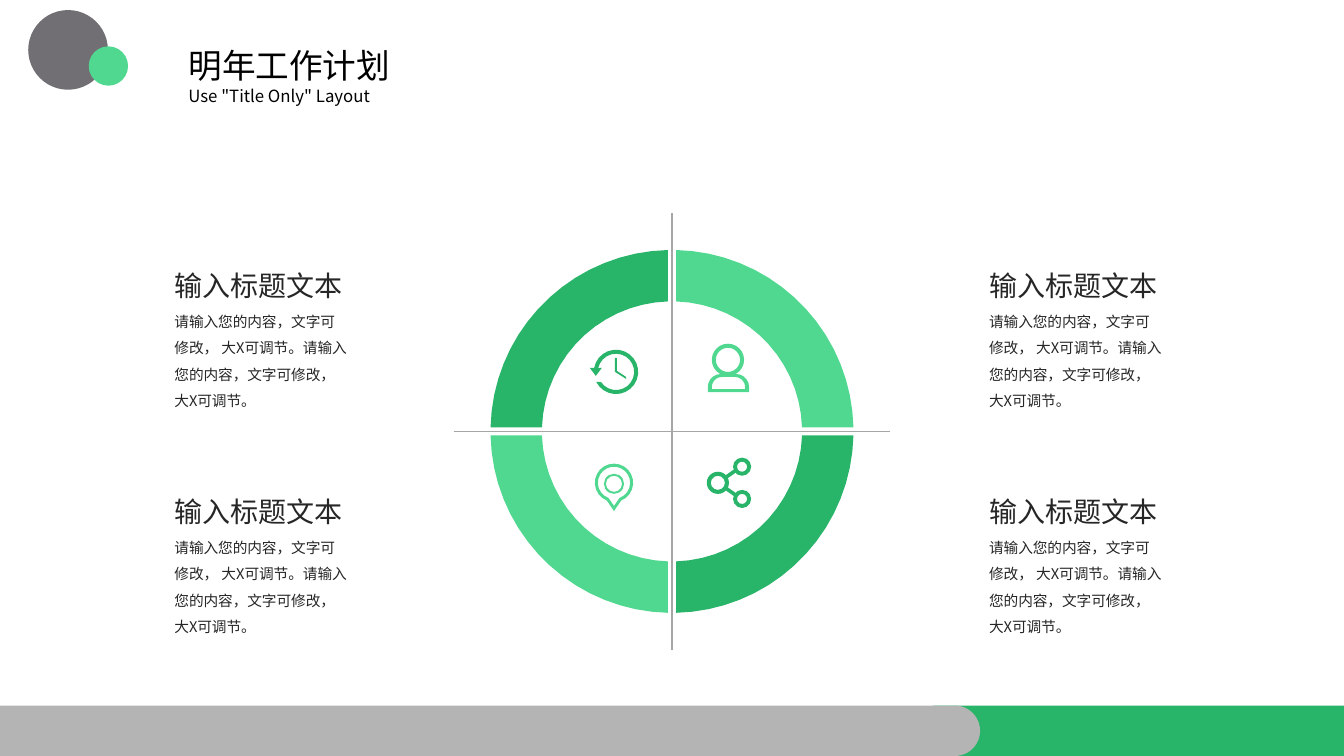
import math
import pptx
import pptx.util
import pptx.dml.color
import pptx.enum.shapes
import pptx.enum.text
import pptx.oxml.ns
import lxml.etree

Inches, Pt = pptx.util.Inches, pptx.util.Pt
Kind = pptx.enum.shapes.MSO_SHAPE
Anchor = pptx.enum.text.MSO_ANCHOR
qn = pptx.oxml.ns.qn

FACE = "Noto Sans CJK SC"
DARK, LIGHT, INK = "28B56A", "50D890", "262626"
WIDE, HIGH = 13.33, 7.5


def paint(fill, hue):
    fill.solid()
    fill.fore_color.rgb = pptx.dml.color.RGBColor.from_string(hue)


def write(box, text, size, hue, inset, anchor, lead=None):
    """Fill a box with one left-aligned run; lead is the line pitch in points."""
    frame = box.text_frame
    frame.word_wrap = True
    frame.auto_size = pptx.enum.text.MSO_AUTO_SIZE.NONE
    frame.vertical_anchor = anchor
    frame.margin_left = frame.margin_right = Inches(inset)
    frame.margin_top = frame.margin_bottom = Inches(inset / 2)
    para = frame.paragraphs[0]
    para.alignment = pptx.enum.text.PP_ALIGN.LEFT
    para.line_spacing = Pt(lead) if lead else 1.0
    run = para.add_run()
    run.text = text
    run.font.size = Pt(size)
    run.font.name = FACE
    paint(run.font.fill, hue)
    east = lxml.etree.SubElement(run.font._element, qn("a:ea"))
    east.set("typeface", FACE)


deck = pptx.Presentation()
deck.slide_width, deck.slide_height = Inches(WIDE), Inches(HIGH)
slide = deck.slides.add_slide(deck.slide_layouts[5])
shapes = slide.shapes

# Preset shapes: footer bars, corner dots, then the rings of the icons
bar, axis = HIGH / 15, 4.79
parts = [
    (Kind.ROUNDED_RECTANGLE, 9.04, HIGH - bar, 4.78, bar, DARK, 0.5),
    (Kind.ROUNDED_RECTANGLE, -0.46, HIGH - bar, 10.18, bar, "B4B4B4", 0.5),
    (Kind.FLOWCHART_CONNECTOR, 0.28, 0.1, 0.79, 0.79, "716F73", None),
    (Kind.FLOWCHART_CONNECTOR, 0.88, 0.46, 0.39, 0.39, LIGHT, None),
]
for x, y, r, thick, hue in [
    (7.22, 3.57, 0.16, 0.04, LIGHT),
    (6.09, 4.8, 0.1, 0.02, LIGHT),
    (7.12, axis, 0.11, 0.04, DARK),
    (7.36, axis - 0.16, 0.09, 0.04, DARK),
    (7.36, axis + 0.16, 0.09, 0.04, DARK),
]:
    parts.append((Kind.DONUT, x - r, y - r, 2 * r, 2 * r, hue, thick / (2 * r)))
for kind, left, top, width, height, hue, bend in parts:
    part = shapes.add_shape(kind, *map(Inches, (left, top, width, height)))
    part.shadow.inherit = False
    part.line.fill.background()
    paint(part.fill, hue)
    if bend:
        part.adjustments[0] = bend

# Title and subtitle
title = shapes.title
title.left, title.top, title.width, title.height = map(Inches, (1.77, 0.4, 3.9, 0.5))
write(title, "明年工作计划", 24, "000000", 0.1, Anchor.MIDDLE)
under = shapes.add_textbox(*map(Inches, (1.77, 0.8, 3.9, 0.3)))
write(under, 'Use "Title Only" Layout', 12, "000000", 0.1, Anchor.MIDDLE)

# Text blocks: two columns by two rows
body = "请输入您的内容，文字可修改， 大X可调节。请输入您的内容，文字可修改，大X可调节。"
for left in (9.81, 1.73):
    for top in (2.66, 4.9):
        head = shapes.add_textbox(*map(Inches, (left, top, 1.86, 0.34)))
        write(head, "输入标题文本", 20, INK, 0, Anchor.MIDDLE)
        note = shapes.add_textbox(*map(Inches, (left, top + 0.355, 1.72, 1.06)))
        write(note, body, 10.5, INK, 0, Anchor.TOP, 18.9)

# Outlines are loops of points (x, y) and arcs (x, y, radius, from, to) in degrees
midx, midy = WIDE / 2, 4.28
outer, inner, gap = 1.8, 1.29, 0.04
art = []
for turn, hue in enumerate((DARK, LIGHT, DARK, LIGHT)):
    start, end = 90 * turn, 90 * turn + 90
    big, small = (math.degrees(math.asin(gap / r)) for r in (outer, inner))
    art.append((hue, [[(midx, midy, outer, start + big, end - big),
                       (midx, midy, inner, end - small, start + small)]]))

# User's shoulders
art.append((LIGHT, [
    [(7.15, 3.84, 0.13, 180, 270), (7.3, 3.84, 0.13, 270, 360), (7.43, 3.89), (7.02, 3.89)],
    [(7.16, 3.84, 0.1, 180, 270), (7.29, 3.84, 0.1, 270, 360), (7.39, 3.86), (7.06, 3.86)],
]))
# Clock
art.append((DARK, [
    [(6.11, 3.69, 0.22, 190, 513), (6.11, 3.69, 0.18, 506, 192),
     (5.97, 3.65), (5.91, 3.73), (5.85, 3.65)],
    [(6.1, 3.55), (6.1, 3.69), (6.21, 3.76), (6.21, 3.74), (6.12, 3.68), (6.12, 3.55)],
]))
# Pin
art.append((LIGHT, [
    [(6.09, 4.79, 0.19, 112, 428), (6.09, 5.07)],
    [(6.09, 4.79, 0.16, 110, 430), (6.09, 5.02)],
]))
# Links of the share icon, mirrored about its axis
link = [(7.19, 0.07), (7.29, 0.14), (7.31, 0.11), (7.21, 0.04)]
for side in (-1, 1):
    art.append((DARK, [[(x, axis + y * side) for x, y in link]]))

for hue, loops in art:
    pen = None
    for loop in loops:
        dots = []
        for x, y, *arc in loop:
            if not arc:
                dots.append((Inches(x), Inches(y)))
                continue
            r, start, end = arc
            steps = math.ceil(abs(end - start) * math.sqrt(r) / 7)
            for i in range(steps + 1):
                a = math.radians(start + (end - start) * i / steps)
                dots.append((Inches(x + r * math.cos(a)), Inches(y + r * math.sin(a))))
        if pen is None:
            pen = shapes.build_freeform(*dots[0], scale=1.0)
        else:
            pen.move_to(*dots[0])
        pen.add_line_segments(dots[1:], close=True)
    form = pen.convert_to_shape()
    form.shadow.inherit = False
    form.line.fill.background()
    paint(form.fill, hue)

# Cross lines
reach = 2.165
for dx, dy in ((reach, 0), (0, reach)):
    ends = (midx - dx, midy - dy, midx + dx, midy + dy)
    line = shapes.add_connector(pptx.enum.shapes.MSO_CONNECTOR.STRAIGHT, *map(Inches, ends))
    line.line.width = Pt(1)
    paint(line.line.fill, "A6A6A6")
    lxml.etree.SubElement(line._element.spPr, qn("a:effectLst"))

deck.save("out.pptx")
